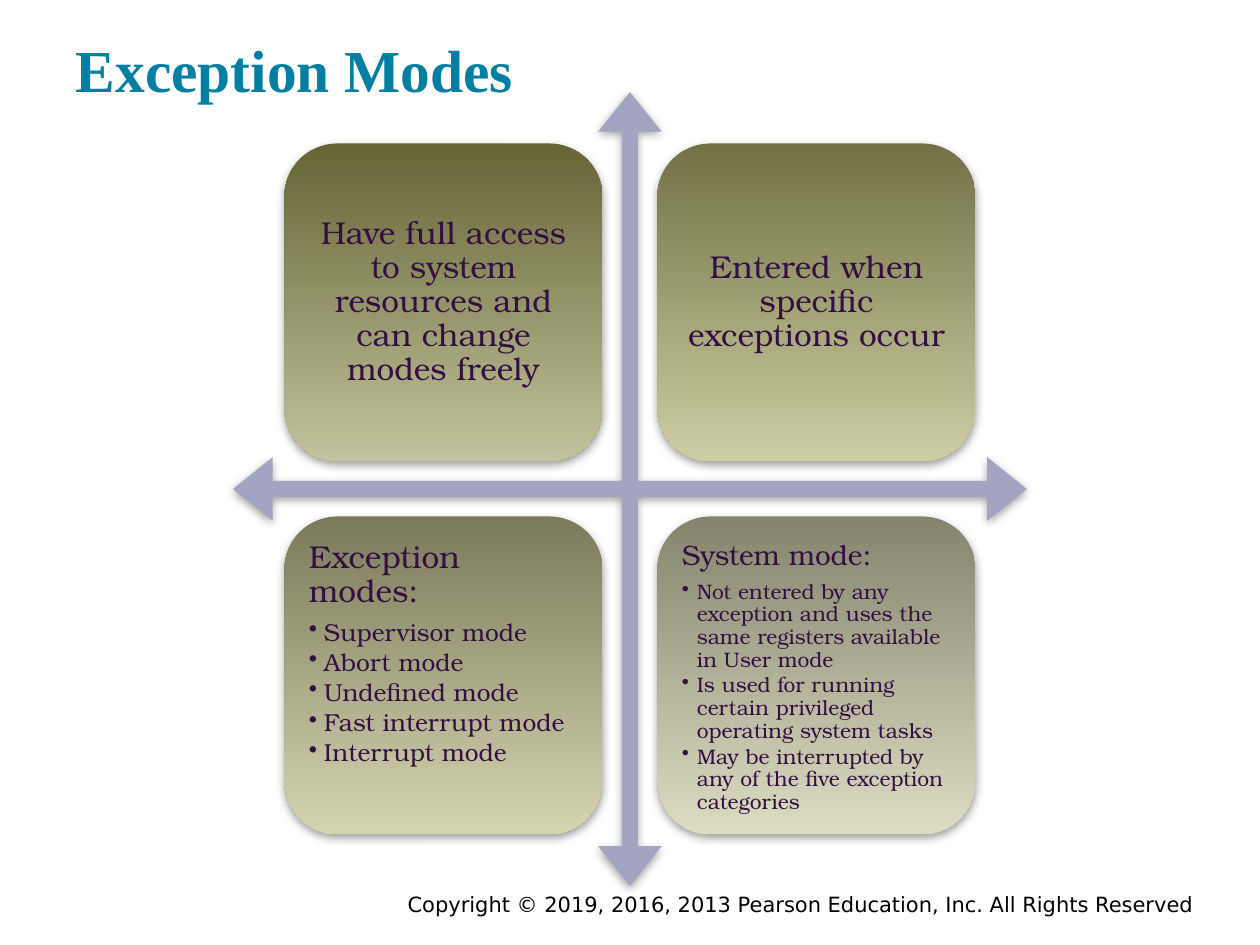
from lxml.etree import SubElement
from pptx import Presentation
from pptx.dml.color import RGBColor
from pptx.enum.shapes import MSO_SHAPE as SHAPE
from pptx.enum.text import MSO_ANCHOR as ANCHOR, PP_ALIGN as ALIGN
from pptx.oxml.ns import qn
from pptx.util import Pt

PX = 914400 / 126
INK = "330F42"
BODY_FONT = "TeX Gyre Bonum"
TITLE = "Exception Modes"
COPYRIGHT = "Copyright © 2019, 2016, 2013 Pearson Education, Inc. All Rights Reserved"

# Read row by row; a quadrant without bullets is centred.
QUADRANTS = [
    dict(head="Have full access to system resources and can change modes freely",
         size=18, bullets=[], bullet_size=14, colors=("656536", "C2C29C")),
    dict(head="Entered when specific exceptions occur",
         size=18, bullets=[], bullet_size=14, colors=("727246", "CDCDA3")),
    dict(head="Exception modes:", size=18, bullet_size=14,
         bullets=["Supervisor mode", "Abort mode", "Undefined mode",
                  "Fast interrupt mode", "Interrupt mode"],
         colors=("7B7B5B", "D4D4B1")),
    dict(head="System mode:", size=16, bullet_size=12,
         bullets=["Not entered by any exception and uses the same registers "
                  "available in User mode",
                  "Is used for running certain privileged operating system tasks",
                  "May be interrupted by any of the five exception categories"],
         colors=("85856E", "DCDCC2")),
]

ARROW_X, ARROW_Y, ARROW_SIZE = 233, 92, 794
BOX, GAP = 318, 55
MARGIN = (ARROW_SIZE - 2 * BOX - GAP) / 2


def px(n):
    return round(n * PX)


def rgb(color):
    return RGBColor.from_string(color)


def setup_frame(tf, inset_x, inset_y, anchor=ANCHOR.TOP):
    tf.word_wrap = True
    tf.vertical_anchor = anchor
    tf.margin_left = tf.margin_right = px(inset_x)
    tf.margin_top = tf.margin_bottom = px(inset_y)


def write(p, text, size, font=BODY_FONT, color=INK, bold=False,
          align=ALIGN.LEFT, spacing=None, after=0, bullet=False):
    p.alignment = align
    p.line_spacing = spacing
    p.space_after = Pt(after)
    if bullet:
        pPr = p._p.get_or_add_pPr()
        pPr.set("marL", str(px(15)))
        pPr.set("indent", str(-px(15)))
        SubElement(pPr, qn("a:buChar"), char="•")
    r = p.add_run()
    r.text = text
    r.font.size, r.font.name, r.font.bold = Pt(size), font, bold
    r.font.color.rgb = rgb(color)


def add_shadowed(slide, kind, x, y, size):
    sp = slide.shapes.add_shape(kind, px(x), px(y), px(size), px(size))
    sp.line.fill.background()
    sp.shadow.inherit = False
    effects = sp._element.spPr.find(qn("a:effectLst"))
    shadow = SubElement(effects, qn("a:outerShdw"), blurRad=str(Pt(5)),
                        dist=str(Pt(2)), dir="5400000", rotWithShape="0")
    tint = SubElement(shadow, qn("a:srgbClr"), val="808080")
    SubElement(tint, qn("a:alpha"), val="75000")
    return sp


def add_quadrant(slide, x, y, head, size, bullets, bullet_size, colors):
    sp = add_shadowed(slide, SHAPE.ROUNDED_RECTANGLE, x, y, BOX)
    sp.fill.gradient()
    sp.fill.gradient_angle = 270
    for stop, color in zip(sp.fill.gradient_stops, colors):
        stop.color.rgb = rgb(color)
    tf = sp.text_frame
    setup_frame(tf, 9, 9, ANCHOR.TOP if bullets else ANCHOR.MIDDLE)
    write(tf.paragraphs[0], head, size, spacing=0.9, after=0.35 * size,
          align=ALIGN.LEFT if bullets else ALIGN.CENTER)
    for text in bullets:
        write(tf.add_paragraph(), text, bullet_size, spacing=0.9,
              after=0.15 * bullet_size, bullet=True)


def main():
    prs = Presentation()
    prs.slide_width, prs.slide_height = px(1260), px(945)
    slide = prs.slides.add_slide(prs.slide_layouts[5])

    title = slide.shapes.title
    title.left, title.top, title.width, title.height = map(px, (63, 26, 1134, 91))
    setup_frame(title.text_frame, 13, 13, ANCHOR.BOTTOM)
    write(title.text_frame.paragraphs[0], TITLE, 34, font="Times New Roman",
          color="007FA3", bold=True)

    footer = slide.shapes.add_textbox(*map(px, (220, 886, 987, 28)))
    setup_frame(footer.text_frame, 13, 6)
    write(footer.text_frame.paragraphs[0], COPYRIGHT, 12, font="DejaVu Sans",
          color="000000", align=ALIGN.RIGHT)

    arrow = add_shadowed(slide, SHAPE.QUAD_ARROW, ARROW_X, ARROW_Y, ARROW_SIZE)
    arrow.fill.solid()
    arrow.fill.fore_color.rgb = rgb("A3A3C2")
    for i, ratio in enumerate((0.02, 0.04, 0.05)):
        arrow.adjustments[i] = ratio

    for i, quadrant in enumerate(QUADRANTS):
        row, col = divmod(i, 2)
        add_quadrant(slide, ARROW_X + MARGIN + col * (BOX + GAP),
                     ARROW_Y + MARGIN + row * (BOX + GAP), **quadrant)

    prs.save("out.pptx")


if __name__ == "__main__":
    main()
